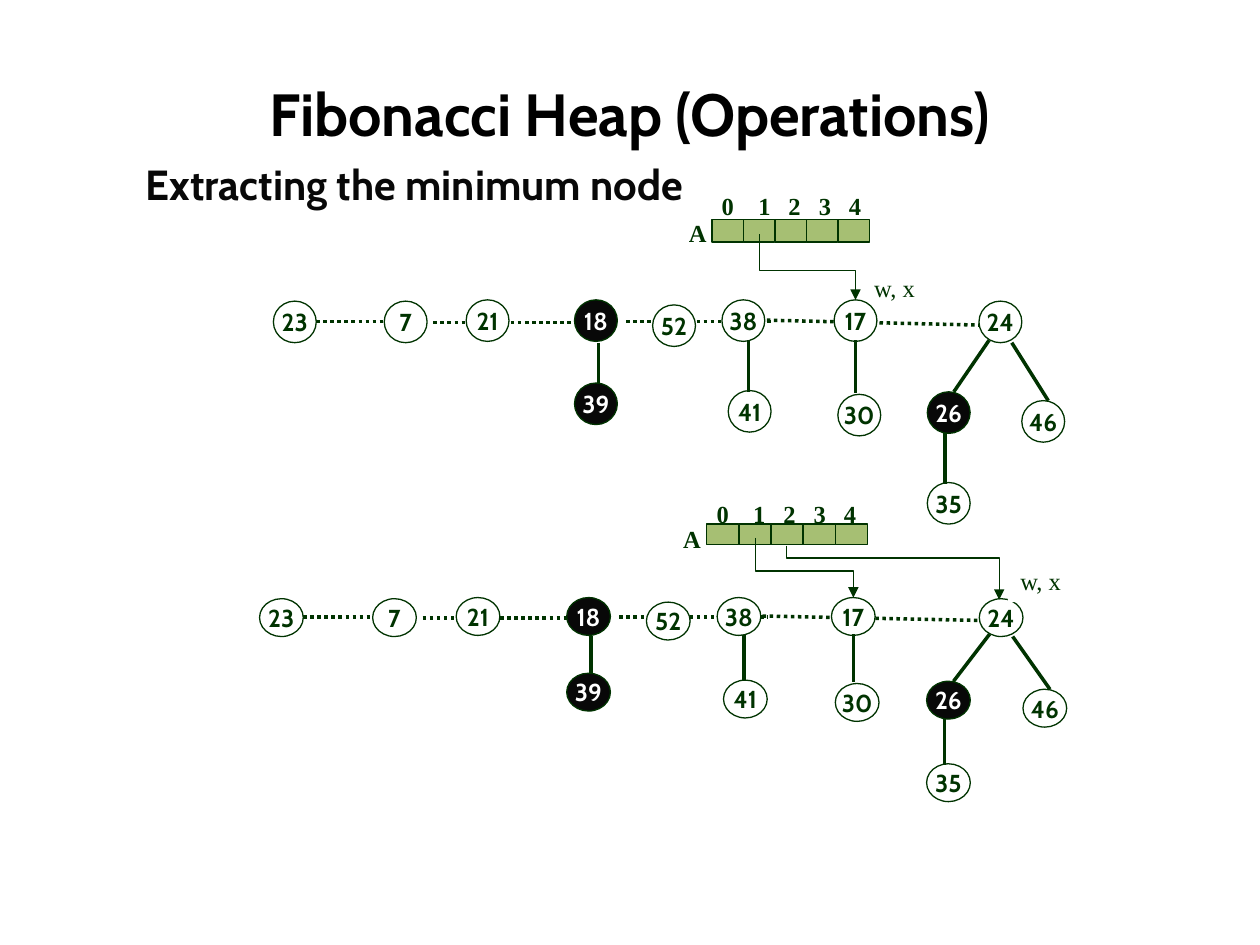
from lxml import etree
from pptx import Presentation
from pptx.dml.color import RGBColor
from pptx.enum.dml import MSO_LINE
from pptx.enum.shapes import MSO_CONNECTOR, MSO_SHAPE
from pptx.enum.text import MSO_ANCHOR, MSO_AUTO_SIZE, PP_ALIGN
from pptx.oxml.ns import qn
from pptx.util import Inches, Pt

STRAIGHT = MSO_CONNECTOR.STRAIGHT
ELBOW = MSO_CONNECTOR.ELBOW
OVAL = MSO_SHAPE.OVAL
RECTANGLE = MSO_SHAPE.RECTANGLE
DOTTED = MSO_LINE.ROUND_DOT
MIDDLE = MSO_ANCHOR.MIDDLE
CENTER = PP_ALIGN.CENTER
JUSTIFY = PP_ALIGN.JUSTIFY
GROW = MSO_AUTO_SIZE.SHAPE_TO_FIT_TEXT

COLORS = {"title": "000000", "marked": "080808", "ink": "003300",
          "paper": "FFFFFF", "cell": "A6BF73"}
NODE_FONT = {"name": "Cabin", "size": Pt(14), "bold": True}
ARRAY_FONT = {"name": "Times New Roman", "size": Pt(14), "bold": True}
POINTER_FONT = {**ARRAY_FONT, "bold": False}

# Heap layout: key, left, top of each node
NODES = [(23, 2.17, 2.39), (7, 3.05, 2.39), (21, 3.7, 2.38), (18, 4.56, 2.38),
         (52, 5.18, 2.42), (38, 5.73, 2.38), (17, 6.62, 2.38), (24, 7.77, 2.39),
         (39, 4.56, 3.04), (41, 5.78, 3.1), (30, 6.65, 3.13), (26, 7.36, 3.11),
         (46, 8.11, 3.18), (35, 7.36, 3.83)]
MARKED_KEYS = {18, 26, 39}
ROOT_LINKS = [(2.51, 2.55, 3.05, 2.55), (3.44, 2.56, 4.56, 2.56),
              (4.97, 2.55, 6.13, 2.55), (6.03, 2.54, 7.77, 2.58)]
CHILD_LINKS = [(4.75, 2.72, 4.75, 3.05), (5.94, 2.71, 5.94, 3.11),
               (6.79, 2.7, 6.79, 3.12), (7.85, 2.7, 7.57, 3.11),
               (8.03, 2.72, 8.32, 3.18), (7.5, 3.44, 7.5, 3.84)]
NODE_WIDTH, NODE_HEIGHT = 0.34, 0.33
ARRAY_LEFT, ARRAY_TOP = 5.65, 1.74
CELL_WIDTH, CELL_HEIGHT = 0.25, 0.18
DEGREES = range(5)


class HeapSlide:
    def __init__(self, slide):
        self.slide = slide
        self.shapes = slide.shapes

    def start_group(self):
        self.shapes = self.slide.shapes.add_group_shape().shapes

    def set_text(self, frame, text, font, color, align=None):
        paragraph = frame.paragraphs[0]
        paragraph.text = text
        paragraph.alignment = align
        for name, value in font.items():
            setattr(paragraph.font, name, value)
        paragraph.font.color.rgb = RGBColor.from_string(COLORS[color])
        return paragraph

    def title(self, text, box):
        title = self.slide.shapes.title
        title.left, title.top, title.width, title.height = map(Inches, box)
        title.text_frame.vertical_anchor = MIDDLE
        self.set_text(title.text_frame, text,
                      {"name": "Cabin", "size": Pt(34), "bold": True}, "title", CENTER)

    def subtitle(self, text, box):
        frame = self.shapes.add_textbox(*map(Inches, box)).text_frame
        frame.word_wrap = True
        paragraph = self.set_text(frame, text,
                                  {"name": "Cabin", "size": Pt(24), "bold": True},
                                  "marked", JUSTIFY)
        paragraph.line_spacing = 1.5

    def label(self, text, box, font, fill=None):
        label = self.shapes.add_textbox(*map(Inches, box))
        if fill:
            label.fill.solid()
            label.fill.fore_color.rgb = RGBColor.from_string(COLORS[fill])
        label.text_frame.auto_size = GROW
        label.text_frame.word_wrap = False
        self.set_text(label.text_frame, text, font, "ink")

    def degree_labels(self, box):
        frame = self.shapes.add_textbox(*map(Inches, box)).text_frame
        frame.word_wrap = True
        frame.margin_right = 0
        properties = frame.paragraphs[0]._p.get_or_add_pPr()
        stops = etree.SubElement(properties, qn("a:tabLst"))
        for step in DEGREES[:-1]:
            etree.SubElement(stops, qn("a:tab"), algn="l",
                             pos=str(Inches(0.29 + 0.24 * step)))
        self.set_text(frame, "\t".join(map(str, DEGREES)), ARRAY_FONT, "ink")

    def outlined(self, kind, box, fill):
        shape = self.shapes.add_shape(kind, *map(Inches, box))
        shape.shadow.inherit = False
        shape.fill.solid()
        shape.fill.fore_color.rgb = RGBColor.from_string(COLORS[fill])
        shape.line.color.rgb = RGBColor.from_string(COLORS["ink"])
        shape.line.width = Pt(0.75)
        return shape

    def node(self, key, box):
        marked = key in MARKED_KEYS
        frame = self.outlined(OVAL, box, "marked" if marked else "paper").text_frame
        frame.word_wrap = False
        frame.vertical_anchor = MIDDLE
        self.set_text(frame, str(key), NODE_FONT, "paper" if marked else "ink", CENTER)

    def link(self, ends, width=2, dash=None, kind=STRAIGHT):
        link = self.shapes.add_connector(kind, *map(Inches, ends))
        link.line.color.rgb = RGBColor.from_string(COLORS["ink"])
        link.line.width = Pt(width)
        if dash:
            link.line.dash_style = dash
        etree.SubElement(link._element.spPr, qn("a:effectLst"))
        return link

    def pointer(self, ends, bend=0.5):
        """Elbow arrow that leaves downwards: a quarter turn of a flipped elbow."""
        x1, y1, x2, y2 = ends
        middle_x, middle_y = (x1 + x2) / 2, (y1 + y2) / 2
        half_w, half_h = (y2 - y1) / 2, (x2 - x1) / 2
        arrow = self.link((middle_x - half_w, middle_y - half_h,
                           middle_x + half_w, middle_y + half_h), 0.75, kind=ELBOW)
        properties = arrow._element.spPr
        frame = properties.find(qn("a:xfrm"))
        frame.set("rot", "16200000")
        frame.set("flipH", "1")
        guides = properties.find(qn("a:prstGeom")).get_or_add_avLst()
        etree.SubElement(guides, qn("a:gd"), name="adj1",
                         fmla=f"val {round(bend * 100000)}")
        etree.SubElement(properties.find(qn("a:ln")), qn("a:tailEnd"), type="triangle")

    def heap(self, left, top, scale_x, scale_y):
        """Draw the heap and its degree array, moved and scaled into place."""
        def place(x, y):
            return left + (x - 2.17) * scale_x, top + (y - ARRAY_TOP) * scale_y

        def place_ends(x1, y1, x2, y2):
            return *place(x1, y1), *place(x2, y2)

        def place_box(x, y, width, height):
            return *place(x, y), width * scale_x, height * scale_y

        self.start_group()
        # Root list, nodes and child edges
        for ends in ROOT_LINKS:
            self.link(place_ends(*ends), dash=DOTTED)
        for key, x, y in NODES:
            self.node(key, place_box(x, y, NODE_WIDTH, NODE_HEIGHT))
        for ends in CHILD_LINKS:
            self.link(place_ends(*ends))
        # Degree array
        for degree in DEGREES:
            self.outlined(RECTANGLE, place_box(ARRAY_LEFT + degree * CELL_WIDTH,
                                               ARRAY_TOP, CELL_WIDTH, CELL_HEIGHT),
                          "cell")
        self.degree_labels((*place(5.63, 1.47), 1.33, 0.35))
        self.label("A", (*place(5.37, 1.68), 0.34, 0.35), ARRAY_FONT)
        # Pointer from degree 1 to node 17
        self.pointer(place_ends(6.03, 1.92, 6.79, 2.38))
        self.link(place_ends(6.03, 1.86, 6.03, 1.93), 0.75)


def main():
    deck = Presentation()
    deck.slide_width, deck.slide_height = Inches(10), Inches(7.5)
    page = HeapSlide(deck.slides.add_slide(deck.slide_layouts[5]))

    # Headings
    page.title("Fibonacci Heap (Operations)", (0.5, 0.5, 9, 0.79))
    page.subtitle("Extracting the minimum node", (1.06, 1.01, 7.87, 2.43))

    # Upper heap: w and x at node 17
    page.heap(2.17, ARRAY_TOP, 1, 1)
    page.label("w, x", (6.84, 2.12, 0.53, 0.34), POINTER_FONT)

    # Lower heap: w and x at node 24, with a pointer from degree 2
    page.heap(2.06, 4.16, 1.02, 0.91)
    page.label("w, x", (8, 4.44, 0.53, 0.34), POINTER_FONT, "paper")
    page.pointer((6.24, 4.33, 7.93, 4.76), 0.23)

    deck.save("out.pptx")


if __name__ == "__main__":
    main()
